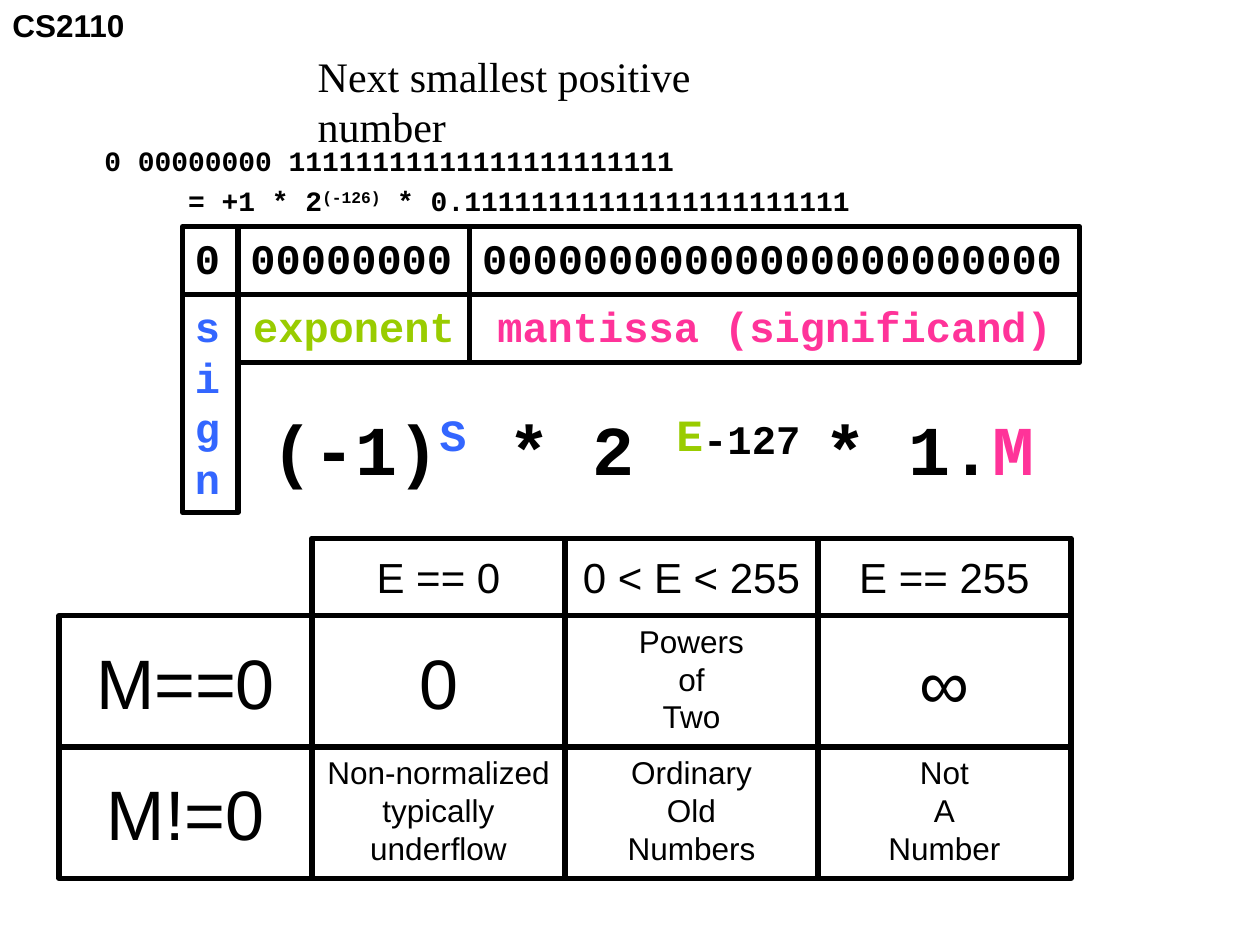
import pptx
import pptx.util
import pptx.dml.color
import pptx.enum.shapes
import pptx.enum.text
from pptx.util import Cm, Pt

COLORS = {
    "ink": "000000",
    "sign": "3366FF",
    "exponent": "99CC00",
    "mantissa": "FF3399",
}
MONO, SANS, SERIF = "Courier New", "Arial", "Times New Roman"
LEFT, CENTER = pptx.enum.text.PP_ALIGN.LEFT, pptx.enum.text.PP_ALIGN.CENTER
TOP, MIDDLE = pptx.enum.text.MSO_ANCHOR.TOP, pptx.enum.text.MSO_ANCHOR.MIDDLE


def write(box, lines, font, size, color="ink", bold=False, align=LEFT, anchor=TOP):
    """Fill a shape with one paragraph per line; a line is a string or a list
    of (text, color, size, raised) spans."""
    frame = box.text_frame
    frame.word_wrap = False
    frame.auto_size = pptx.enum.text.MSO_AUTO_SIZE.NONE
    frame.vertical_anchor = anchor
    for index, line in enumerate(lines):
        para = frame.paragraphs[0] if index == 0 else frame.add_paragraph()
        para.alignment = align
        para.space_before = Pt(0)
        para.font.name = font
        para.font.size = Pt(size)
        para.font.bold = bold
        para.font.color.rgb = pptx.dml.color.RGBColor.from_string(COLORS[color])
        if isinstance(line, str):
            line = [(line, color, size, False)]
        for text, span_color, span_size, raised in line:
            span = para.add_run()
            span.text = text
            if span_color != color:
                span.font.color.rgb = pptx.dml.color.RGBColor.from_string(COLORS[span_color])
            if span_size != size:
                span.font.size = Pt(span_size)
            if raised:
                span.font._element.set("baseline", "30000")


def add_cell(left, top, width, height):
    cell = page.shapes.add_shape(
        pptx.enum.shapes.MSO_SHAPE.RECTANGLE, Cm(left), Cm(top), Cm(width), Cm(height))
    cell.shadow.inherit = False
    cell.fill.background()
    cell.line.color.rgb = pptx.dml.color.RGBColor.from_string(COLORS["ink"])
    cell.line.width = Pt(3)
    return cell


deck = pptx.Presentation()
deck.slide_width, deck.slide_height = Cm(25.4), Cm(19.05)
page = deck.slides.add_slide(deck.slide_layouts[1])

# Course label, title and worked example
course = page.shapes.add_textbox(Cm(0), Cm(0), Cm(2.79), Cm(1.02))
write(course, ["CS2110"], SANS, 18, bold=True)

title = page.shapes.title
title.left, title.top, title.width, title.height = Cm(6.15), Cm(0.89), Cm(10.82), Cm(1.27)
write(title, ["Next smallest positive number"], SERIF, 24)

body = page.placeholders[1]
body.left, body.top, body.width, body.height = Cm(1.85), Cm(2.76), Cm(15.82), Cm(2.45)
example = [
    "0 00000000 11111111111111111111111",
    [("= +1 * 2", "ink", 16, False),
     ("(-126)", "ink", 16, True),
     (" * 0.11111111111111111111111", "ink", 16, False)],
]
for para_indent, para in zip((0, 1.69), (body.text_frame.paragraphs[0], body.text_frame.add_paragraph())):
    properties = para._p.get_or_add_pPr()
    properties.set("marL", str(Cm(para_indent)))
    properties.set("indent", "0")
    properties.append(pptx.oxml.parse_xml(
        '<a:buNone xmlns:a="http://schemas.openxmlformats.org/drawingml/2006/main"/>'))
first, second = body.text_frame.paragraphs
for para, line in zip((first, second), example):
    para.font.name, para.font.size, para.font.bold = MONO, Pt(16), True
    para.font.color.rgb = pptx.dml.color.RGBColor.from_string(COLORS["ink"])
    for text, _, _, raised in [(line, "ink", 16, False)] if isinstance(line, str) else line:
        span = para.add_run()
        span.text = text
        if raised:
            span.font._element.set("baseline", "30000")
first.space_before, second.space_before = Pt(0), Pt(4)

# Bit fields: value above, name below
BITS_TOP, BITS_HEIGHT = 4.57, 1.37
fields = [
    ("0", list("sign"), "sign", 1.12, 4.39, LEFT),
    ("0" * 8, ["exponent"], "exponent", 4.67, BITS_HEIGHT, CENTER),
    ("0" * 23, ["mantissa (significand)"], "mantissa", 12.29, BITS_HEIGHT, CENTER),
]
left = 3.68
for bits, name, color, width, name_height, align in fields:
    write(add_cell(left, BITS_TOP, width, BITS_HEIGHT), [bits], MONO, 24, bold=True)
    write(add_cell(left, BITS_TOP + BITS_HEIGHT, width, name_height), name, MONO, 24,
          color, bold=True, align=align)
    left += width

formula = page.shapes.add_textbox(Cm(5.23), Cm(7.9), Cm(15.88), Cm(2.13))
write(formula, [[
    ("(-1)", "ink", 40, False),
    ("S", "sign", 44, True),
    (" * 2 ", "ink", 40, False),
    ("E", "exponent", 44, True),
    ("-127 ", "ink", 40, True),
    ("* 1.", "ink", 40, False),
    ("M", "mantissa", 40, False),
]], MONO, 40, bold=True)

# Cases by exponent (columns) and mantissa (rows); the corner stays open
GRID_LEFT, COLUMN_WIDTH = 1.19, 5.1
cases = [
    (1.56, 24, ["", "E == 0", "0 < E < 255", "E == 255"]),
    (2.65, 40, ["M==0", "0", "Powers\nof\nTwo", "∞"]),
    (2.65, 40, ["M!=0", "Non-normalized\ntypically\nunderflow",
                "Ordinary\nOld\nNumbers", "Not\nA\nNumber"]),
]
top = 10.85
for height, size, labels in cases:
    for column, label in enumerate(labels):
        if label:
            lines = label.split("\n")
            several = len(lines) > 1
            cell = add_cell(GRID_LEFT + column * COLUMN_WIDTH, top, COLUMN_WIDTH, height)
            write(cell, lines, SANS, 18 if several else size, align=CENTER,
                  anchor=TOP if several else MIDDLE)
    top += height

deck.save("out.pptx")
